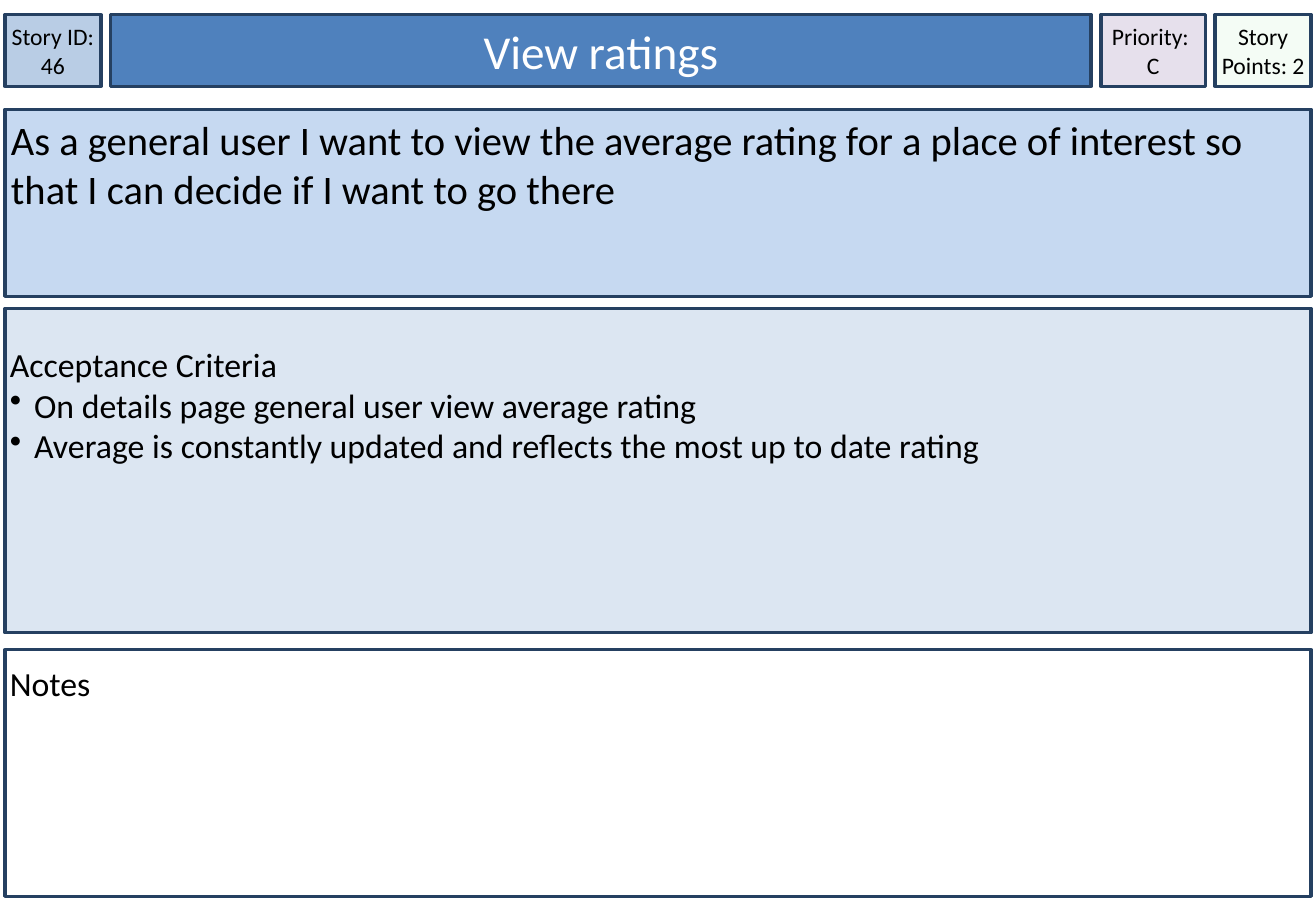
"""Build a user story card: a header row above story, criteria and notes panels."""
from lxml import etree
from pptx import Presentation
from pptx.dml.color import RGBColor
from pptx.enum.shapes import MSO_SHAPE
from pptx.enum.text import MSO_ANCHOR, PP_ALIGN
from pptx.oxml.ns import qn
from pptx.util import Inches, Pt

RECTANGLE = MSO_SHAPE.RECTANGLE
TOP, MIDDLE = MSO_ANCHOR.TOP, MSO_ANCHOR.MIDDLE
LEFT, CENTER = PP_ALIGN.LEFT, PP_ALIGN.CENTER

NAVY = RGBColor(0x25, 0x40, 0x61)
BLUE = RGBColor(0x4F, 0x81, 0xBD)
MID_BLUE = RGBColor(0xB9, 0xCD, 0xE5)
LIGHT_BLUE = RGBColor(0xC6, 0xD9, 0xF1)
PALE_BLUE = RGBColor(0xDC, 0xE6, 0xF2)
LILAC = RGBColor(0xE6, 0xE0, 0xEC)
GREEN = RGBColor(0xCC, 0xF0, 0xCD)
WHITE = RGBColor(0xFF, 0xFF, 0xFF)
BLACK = RGBColor(0x00, 0x00, 0x00)

SLIDE_WIDTH, SLIDE_HEIGHT = 10.83, 7.5
MARGIN = 0.04
COLUMN_GAP = 0.08
HEADER_TOP, HEADER_HEIGHT = 0.12, 0.59
PANEL_WIDTH = SLIDE_WIDTH - 2 * MARGIN
BULLET_INDENT = 0.2

prs = Presentation()
prs.slide_width, prs.slide_height = Inches(SLIDE_WIDTH), Inches(SLIDE_HEIGHT)
slide = prs.slides.add_slide(prs.slide_layouts[6])


def add_card(left, top, width, height, fill, lines, size, color=BLACK,
             align=LEFT, anchor=TOP, side_inset=0, top_inset=0):
    card = slide.shapes.add_shape(
        RECTANGLE, Inches(left), Inches(top), Inches(width), Inches(height))
    card.shadow.inherit = False
    card.fill.solid()
    card.fill.fore_color.rgb = fill
    card.line.color.rgb = NAVY
    card.line.width = Pt(2)
    frame = card.text_frame
    frame.word_wrap = True
    frame.vertical_anchor = anchor
    frame.margin_left = frame.margin_right = Inches(side_inset)
    frame.margin_top, frame.margin_bottom = Inches(top_inset), 0
    frame.text = "\n".join(lines)
    for paragraph in frame.paragraphs:
        paragraph.alignment = align
        paragraph.font.name = "Calibri"
        paragraph.font.size = Pt(size)
        paragraph.font.color.rgb = color
    return card


header = [
    (0.79, MID_BLUE, ["Story ID: 46"], 14, BLACK),
    (8.07, BLUE, ["View ratings"], 28, WHITE),
    (0.86, LILAC, ["Priority: ", "C"], 14, BLACK),
    (0.79, GREEN, ["Story Points: 2"], 14, BLACK),
]
left = MARGIN
for width, fill, lines, size, color in header:
    header_card = add_card(left, HEADER_TOP, width, HEADER_HEIGHT, fill, lines,
                           size, color, CENTER, MIDDLE)
    left += width + COLUMN_GAP

story_points_color = header_card.fill._xPr.find(qn("a:solidFill"))[0]
etree.SubElement(story_points_color, qn("a:alpha"), val="20000")

story = ["As a general user I want to view the average rating for a place of "
         "interest so that I can decide if I want to go there"]
criteria = ["Acceptance Criteria",
            "On details page general user view average rating",
            "Average is constantly updated and reflects the most up to date rating"]

add_card(MARGIN, 0.9, PANEL_WIDTH, 1.54, LIGHT_BLUE, story, 24,
         side_inset=0.05, top_inset=0.05)
criteria_panel = add_card(MARGIN, 2.54, PANEL_WIDTH, 2.67, PALE_BLUE, criteria, 20,
                          side_inset=0.04, top_inset=0.29)
add_card(MARGIN, 5.35, PANEL_WIDTH, 2.03, WHITE, ["Notes"], 20,
         side_inset=0.04, top_inset=0.11)

for criterion in criteria_panel.text_frame.paragraphs[1:]:
    properties = criterion._p.get_or_add_pPr()
    properties.set("marL", str(Inches(BULLET_INDENT)))
    properties.set("indent", str(-Inches(BULLET_INDENT)))
    bullet = etree.Element(qn("a:buChar"), char="•")
    properties.find(qn("a:defRPr")).addprevious(bullet)

prs.save("out.pptx")
